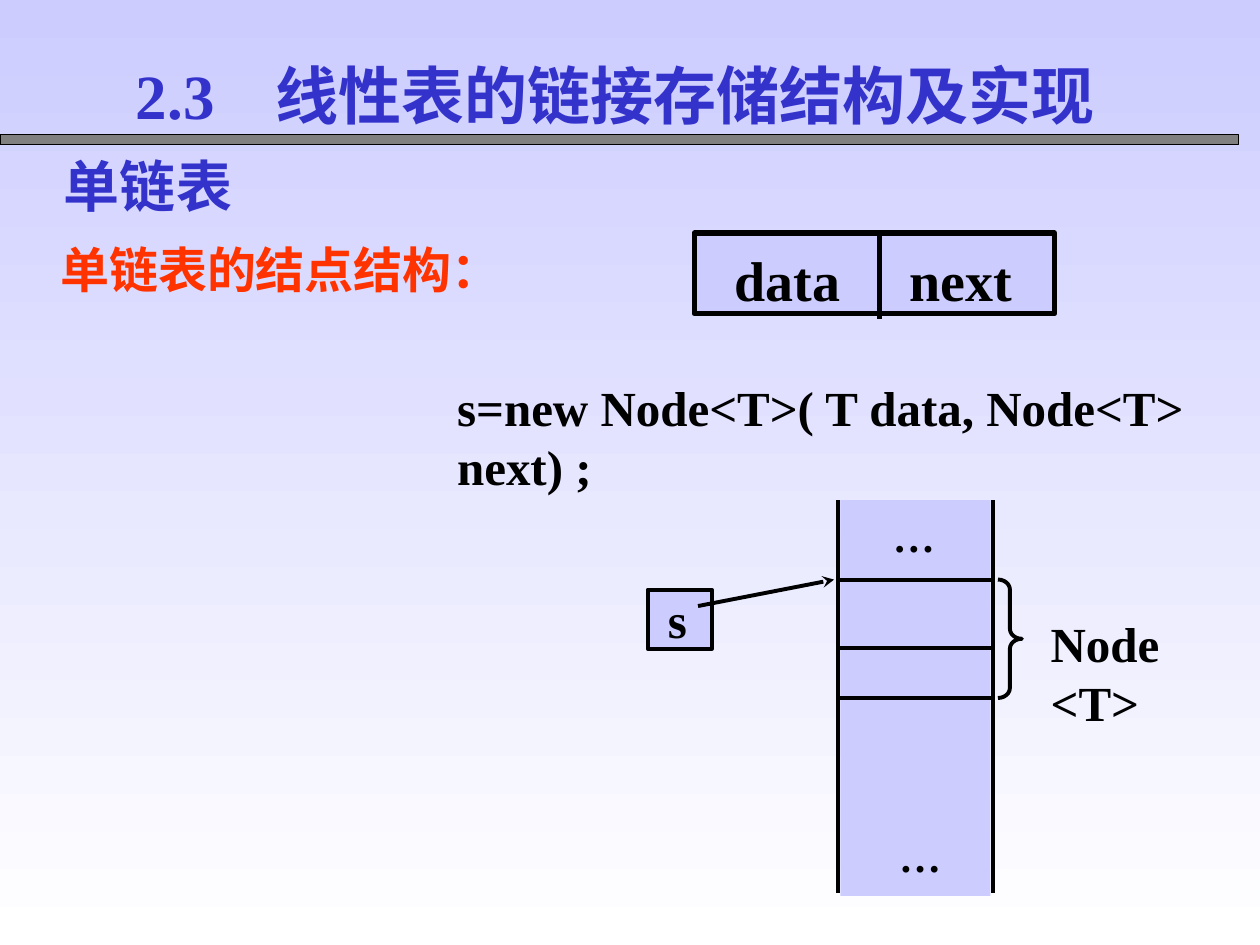
from typing import NamedTuple

from lxml.etree import SubElement
from pptx import Presentation
from pptx.dml.color import RGBColor
from pptx.enum.shapes import MSO_CONNECTOR as Connector, MSO_SHAPE as Preset
from pptx.enum.text import MSO_ANCHOR as Anchor, MSO_AUTO_SIZE as AutoSize, PP_ALIGN as Align
from pptx.oxml.ns import qn
from pptx.util import Inches, Pt

BLACK, BLUE, ORANGE, GRAY = "000000", "3333CC", "FF3300", "808080"
LAVENDER, WHITE = "CCCCFF", "FFFFFF"
SERIF, SANS = "Times New Roman", "Arial"


class Box(NamedTuple):
    left: float
    top: float
    width: float
    height: float


class Line(NamedTuple):
    x1: float
    y1: float
    x2: float
    y2: float
    width: float = 2.25
    arrow: bool = False


class Label(NamedTuple):
    box: Box
    text: str
    style: dict


def color(value: str) -> RGBColor:
    return RGBColor.from_string(value)


def write(shape, text: str, *, size=28, font=SERIF, fill=BLACK, italic=False,
          anchor=Anchor.TOP, spacing=None, tab=None, grow=True,
          insets=(0.1, 0.05, 0.1, 0.05)) -> None:
    """Put one bold, left-aligned paragraph in a shape; tab is a stop in inches."""
    frame = shape.text_frame
    frame.word_wrap = True
    frame.auto_size = AutoSize.SHAPE_TO_FIT_TEXT if grow else AutoSize.NONE
    frame.vertical_anchor = anchor
    (frame.margin_left, frame.margin_top,
     frame.margin_right, frame.margin_bottom) = map(Inches, insets)
    paragraph = frame.paragraphs[0]
    paragraph.alignment = Align.LEFT
    if spacing:
        paragraph.line_spacing = spacing
    if tab:
        stops = SubElement(paragraph._p.get_or_add_pPr(), qn("a:tabLst"))
        SubElement(stops, qn("a:tab"), pos=str(Inches(tab)), algn="l")
    run = paragraph.add_run()
    run.text = text
    run.font.name, run.font.size = font, Pt(size)
    run.font.bold, run.font.italic = True, italic
    run.font.color.rgb = color(fill)


def add_preset(slide, preset, box: Box, fill=None, line_width=None):
    shape = slide.shapes.add_shape(preset, *map(Inches, box))
    shape.shadow.inherit = False
    if fill:
        shape.fill.solid()
        shape.fill.fore_color.rgb = color(fill)
    else:
        shape.fill.background()
    if line_width:
        shape.line.color.rgb = color(BLACK)
        shape.line.width = Pt(line_width)
    else:
        shape.line.fill.background()
    return shape


def add_line(slide, line: Line) -> None:
    connector = slide.shapes.add_connector(Connector.STRAIGHT, *map(Inches, line[:4]))
    connector.line.color.rgb = color(BLACK)
    connector.line.width = Pt(line.width)
    if line.arrow:
        SubElement(connector.line._get_or_add_ln(), qn("a:tailEnd"), type="stealth")
    SubElement(connector._element.spPr, qn("a:effectLst"))


def add_label(slide, label: Label) -> None:
    write(slide.shapes.add_textbox(*map(Inches, label.box)), label.text, **label.style)


HEADING = dict(fill=BLUE, anchor=Anchor.MIDDLE, grow=False)
SECTION = dict(HEADING, font=SANS, spacing=0.9)
DOTS = dict(size=24, italic=True, spacing=1.1)

LABELS = [
    Label(Box(0.98, 0.4, 7.92, 0.7), "2.3\t线性表的链接存储结构及实现",
          dict(HEADING, size=36, tab=1.11)),
    Label(Box(0.41, 1.14, 3.57, 0.72), "单链表", dict(SECTION, size=32)),
    Label(Box(0.38, 1.8, 4.08, 0.72), "单链表的结点结构：", dict(SECTION, fill=ORANGE)),
    Label(Box(7, 3.96, 0.56, 0.54), "…", DOTS),
    Label(Box(7.05, 6.5, 0.56, 0.54), "…", DOTS),
    Label(Box(8.24, 4.82, 1.18, 1.04), "Node<T>", {}),
    Label(Box(3.53, 2.95, 6.47, 1.04), "s=new Node<T>( T data, Node<T> next) ;", {}),
]

MEMORY_SIDES = [Line(x, 3.97, x, 7.09) for x in (6.65, 7.88)]
CELL_BORDERS = [Line(6.66, y, 7.87, y) for y in (4.6, 5.14, 5.54)]
FIELD_DIVIDER = Line(6.98, 1.85, 6.98, 2.53, width=3)
POINTER = Line(5.54, 4.81, 6.62, 4.6, arrow=True)


def main() -> None:
    presentation = Presentation()
    presentation.slide_width, presentation.slide_height = Inches(10), Inches(7.5)
    slide = presentation.slides.add_slide(presentation.slide_layouts[6])

    # Background fading downwards, and the bar under the title
    background = slide.background.fill
    background.gradient()
    background.gradient_angle = 270
    for stop, position, value in zip(background.gradient_stops, (0, 1), (LAVENDER, WHITE)):
        stop.position, stop.color.rgb = position, color(value)
    add_preset(slide, Preset.RECTANGLE, Box(0, 1.07, 9.83, 0.08), GRAY, 0.75)

    # Node structure with its two fields
    node = add_preset(slide, Preset.RECTANGLE, Box(5.51, 1.85, 2.86, 0.64), LAVENDER, 3)
    write(node, "data\tnext", size=32, tab=1.39, insets=(0.32, 0.1, 0.1, 0))

    # Memory column, pointer variable and node brace
    add_preset(slide, Preset.RECTANGLE, Box(6.67, 3.97, 1.19, 3.14), LAVENDER)
    variable = add_preset(slide, Preset.RECTANGLE, Box(5.14, 4.68, 0.51, 0.47), LAVENDER, 2.25)
    write(variable, "s", insets=(0.16, 0, 0, 0))
    for line in [FIELD_DIVIDER, *MEMORY_SIDES, *CELL_BORDERS, POINTER]:
        add_line(slide, line)
    brace = add_preset(slide, Preset.RIGHT_BRACE, Box(7.92, 4.6, 0.19, 0.94), line_width=2.25)
    brace.adjustments[0] = 0.42

    # Headings, code and captions
    for label in LABELS:
        add_label(slide, label)

    presentation.save("out.pptx")


if __name__ == "__main__":
    main()
